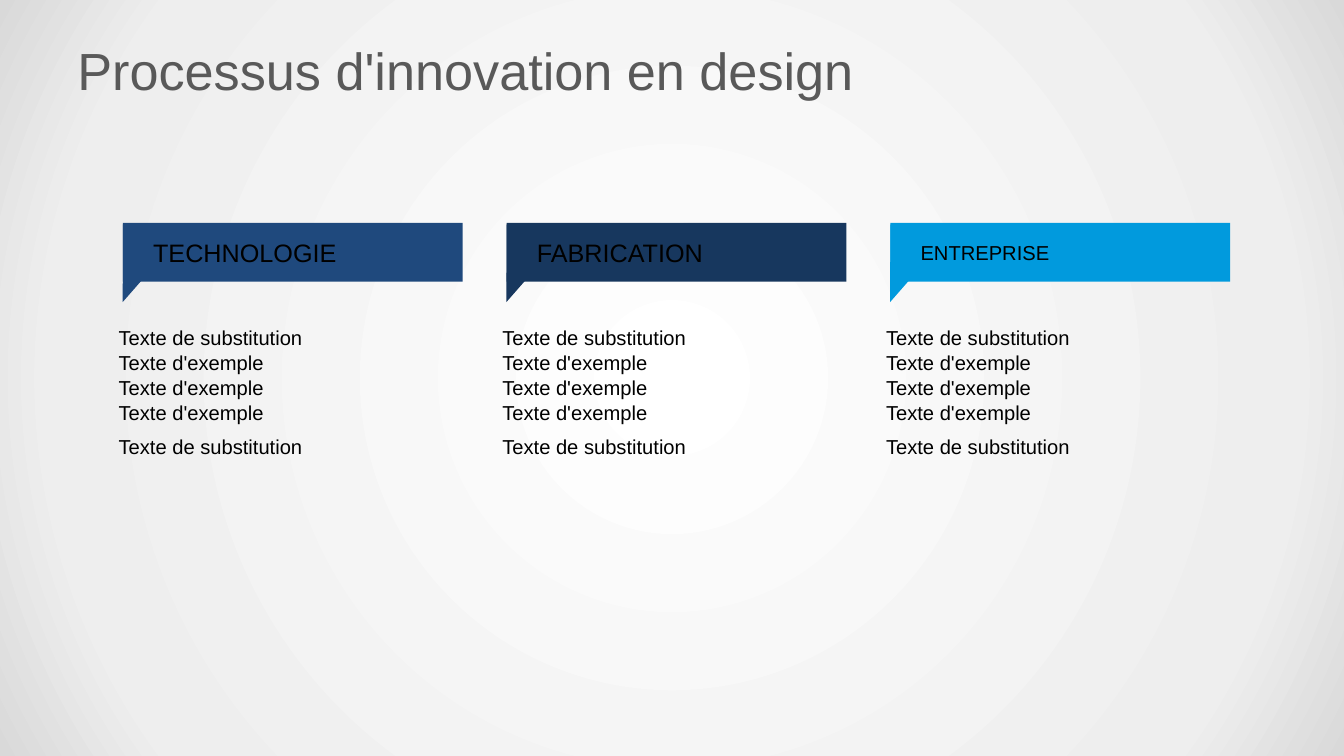
import pptx
import pptx.dml.color
import pptx.enum.shapes
import pptx.enum.text
import pptx.oxml
import pptx.oxml.ns
import pptx.util
from pptx.util import Cm

TITLE = "Processus d'innovation en design"
BODY = [
    ["Texte de substitution", "Texte d'exemple", "Texte d'exemple", "Texte d'exemple"],
    ["Texte de substitution"],
]
COLUMNS = [
    ("TECHNOLOGIE", "1F497D", 18),
    ("FABRICATION", "17375E", 18),
    ("ENTREPRISE", "019ADD", 14.4),
]
THEME = {
    "font": "Arial",
    "title": "595959",
    "text": "000000",
    "title_size": 37.3,
    "body_size": 14.4,
    "background": [(0, "FFFFFF"), (81, "EEEEEE"), (100, "D9D9D9")],
}
LEFT, TOP, PITCH = 3.1, 5.62, 9.67


def rgb(color):
    return pptx.dml.color.RGBColor.from_string(color)


def style(p, size, color):
    p.alignment = pptx.enum.text.PP_ALIGN.LEFT
    p.font.name = THEME["font"]
    p.font.size = pptx.util.Pt(size)
    p.font.color.rgb = rgb(color)


def set_background(slide):
    slide.background.fill.gradient()
    grad = slide.element.find(".//" + pptx.oxml.ns.qn("a:gradFill"))
    stops = "".join(
        f'<a:gs pos="{pos * 1000}"><a:srgbClr val="{color}"/></a:gs>'
        for pos, color in THEME["background"]
    )
    radial = pptx.oxml.parse_xml(
        f'<a:gradFill {pptx.oxml.ns.nsdecls("a")} rotWithShape="1"><a:gsLst>{stops}</a:gsLst>'
        '<a:path path="circle"><a:fillToRect l="50000" t="50000" r="50000" b="50000"/></a:path>'
        "</a:gradFill>"
    )
    grad.getparent().replace(grad, radial)


def add_text(shapes, x, y, w, h):
    tf = shapes.add_textbox(Cm(x), Cm(y), Cm(w), Cm(h)).text_frame
    tf.word_wrap = True
    return tf


def add_solid(shapes, kind, x, y, w, h, color):
    sp = shapes.add_shape(kind, Cm(x), Cm(y), Cm(w), Cm(h))
    sp.shadow.inherit = False
    sp.fill.solid()
    sp.fill.fore_color.rgb = rgb(color)
    sp.line.fill.background()
    return sp


def add_column(slide, x, heading, color, size):
    shapes = slide.shapes.add_group_shape().shapes
    kinds = pptx.enum.shapes.MSO_SHAPE

    tf = add_text(shapes, x - 0.36, 8.05, 9.45, 6.78)
    for i, lines in enumerate(BODY):
        p = tf.paragraphs[0] if i == 0 else tf.add_paragraph()
        p.text = "\v".join(lines)
        p.line_spacing = 1.04
        if i:
            p.space_before = pptx.util.Pt(5.7)
        style(p, THEME["body_size"], THEME["text"])

    tail = add_solid(shapes, kinds.ISOSCELES_TRIANGLE, x - 0.37, TOP + 0.22, 1.37, 1.83, color)
    tail.rotation = 200.7

    banner = add_solid(shapes, kinds.RECTANGLE, x, TOP, 8.56, 1.48, color)
    tf = banner.text_frame
    tf.margin_left = Cm(0.76)
    tf.vertical_anchor = pptx.enum.text.MSO_ANCHOR.MIDDLE
    tf.text = heading
    style(tf.paragraphs[0], size, THEME["text"])


def main():
    prs = pptx.Presentation()
    prs.slide_width, prs.slide_height = Cm(33.87), Cm(19.05)
    slide = prs.slides.add_slide(prs.slide_layouts[6])
    set_background(slide)

    tf = add_text(slide.shapes, 1.7, 0.76, 30.48, 1.98)
    tf.vertical_anchor = pptx.enum.text.MSO_ANCHOR.MIDDLE
    tf.text = TITLE
    style(tf.paragraphs[0], THEME["title_size"], THEME["title"])

    for i, (heading, color, size) in enumerate(COLUMNS):
        add_column(slide, LEFT + i * PITCH, heading, color, size)
    prs.save("out.pptx")


if __name__ == "__main__":
    main()
